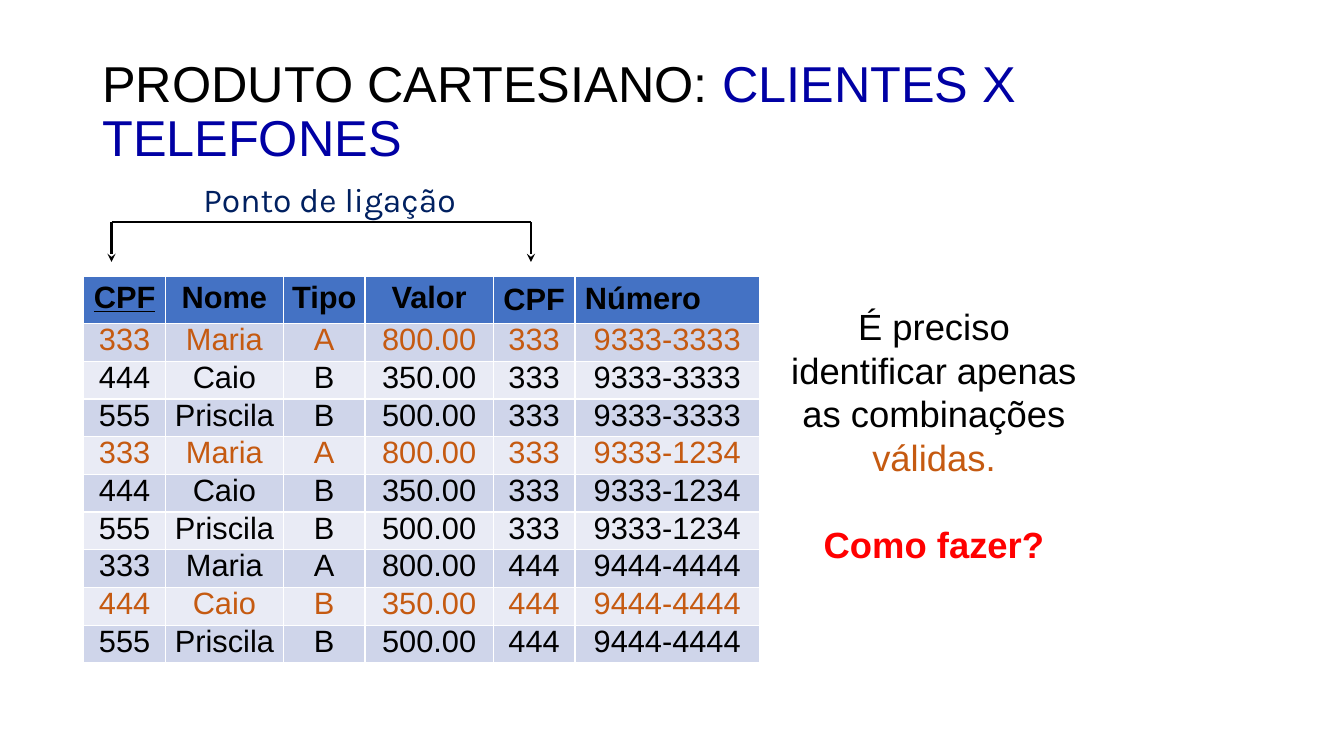
import itertools

import pptx
import pptx.dml.color
import pptx.enum.shapes
import pptx.enum.text
import pptx.oxml.ns
import pptx.util
from lxml import etree

Cm, Pt = pptx.util.Cm, pptx.util.Pt
RGB = pptx.dml.color.RGBColor.from_string
ALIGN = pptx.enum.text.PP_ALIGN
ANCHOR = pptx.enum.text.MSO_ANCHOR

# Content
TITLE = [("PRODUTO CARTESIANO: ", "text"), ("CLIENTES X TELEFONES", "title")]
LINK_LABEL = "Ponto de ligação"
NOTE = [("É preciso identificar apenas as combinações ", "text"), ("válidas.", "match")]
QUESTION = "Como fazer?"
HEADERS = ["CPF", "Nome", "Tipo", "Valor", "CPF", "Número"]
CLIENTS = [
    ("333", "Maria", "A", "800.00"),
    ("444", "Caio", "B", "350.00"),
    ("555", "Priscila", "B", "500.00"),
]
PHONES = [("333", "9333-3333"), ("333", "9333-1234"), ("444", "9444-4444")]

THEME = {
    "font": "Arial", "label_font": "Karla",
    "title_size": Pt(36), "label_size": Pt(24), "note_size": Pt(26), "table_size": Pt(22),
    "text": RGB("000000"), "title": RGB("0000A4"), "label": RGB("002060"),
    "match": RGB("C55A11"), "question": RGB("FF0000"),
    "header": RGB("4472C4"), "bands": (RGB("CFD5EA"), RGB("E9EBF5")),
}

# Layout, in centimetres
COLUMNS = [2.06, 2.97, 2.06, 3.23, 2.06, 4.65]
HEADER_HEIGHT, ROW_HEIGHT = 1.14, 0.95
TABLE_LEFT, TABLE_TOP = 2.11, 6.96
LINK_LEFT, LINK_RIGHT, LINK_TOP, LINK_BOTTOM = 2.81, 13.38, 5.6, 6.6


def add_text(shapes, left, top, width, height, anchor=ANCHOR.TOP):
    tf = shapes.add_textbox(Cm(left), Cm(top), Cm(width), Cm(height)).text_frame
    tf.word_wrap = True
    tf.vertical_anchor = anchor
    return tf


def write(p, runs, size, font=THEME["font"], align=ALIGN.CENTER):
    p.alignment = align
    p.font.name, p.font.size = font, size
    for text, color in runs:
        r = p.add_run()
        r.text = text
        r.font.name, r.font.size = font, size
        r.font.color.rgb = THEME[color]


def add_line(shapes, x1, y1, x2, y2, arrow=False):
    line = shapes.add_connector(pptx.enum.shapes.MSO_CONNECTOR.STRAIGHT,
                                Cm(x1), Cm(y1), Cm(x2), Cm(y2))
    line.line.color.rgb = THEME["text"]
    line.line.width = Pt(1.75)
    if arrow:
        tail = etree.SubElement(line.line._get_or_add_ln(), pptx.oxml.ns.qn("a:tailEnd"))
        tail.set("type", "stealth")
    etree.SubElement(line._element.spPr, pptx.oxml.ns.qn("a:effectLst"))


def fill_cell(cell, text, color, fill, bold=False):
    cell.fill.solid()
    cell.fill.fore_color.rgb = fill
    cell.vertical_anchor = ANCHOR.MIDDLE
    cell.margin_left = cell.margin_right = Cm(0.2)
    cell.margin_top = cell.margin_bottom = Cm(0.1)
    p = cell.text_frame.paragraphs[0]
    write(p, [(text, color)], THEME["table_size"])
    p.line_spacing = 0.8
    p.runs[0].font.bold = bold
    return p


def main():
    prs = pptx.Presentation()
    prs.slide_width, prs.slide_height = Cm(33.87), Cm(19.05)
    s = prs.slides.add_slide(prs.slide_layouts[6])

    # Title
    p = add_text(s.shapes, 2.33, 1.01, 29.21, 3.68, ANCHOR.MIDDLE).paragraphs[0]
    write(p, TITLE, THEME["title_size"], align=ALIGN.LEFT)
    p.line_spacing = 0.9

    # Bracket joining the two CPF columns
    link = s.shapes.add_group_shape().shapes
    add_line(link, LINK_LEFT, LINK_TOP, LINK_RIGHT, LINK_TOP)
    for x in (LINK_LEFT, LINK_RIGHT):
        add_line(link, x, LINK_TOP, x, LINK_BOTTOM, arrow=True)
    p = add_text(link, 3.77, 4.38, 9.07, 1.28).paragraphs[0]
    write(p, [(LINK_LABEL, "label")], THEME["label_size"], THEME["label_font"])

    # Note and question
    tf = add_text(s.shapes, 19.69, 7.54, 7.7, 6.93)
    write(tf.paragraphs[0], NOTE, THEME["note_size"])
    p = tf.add_paragraph()
    write(p, [(QUESTION, "question")], THEME["note_size"])
    p.runs[0].font.bold = True
    p.space_before = Pt(31)

    # Table: every phone paired with every client
    pairs = list(itertools.product(PHONES, CLIENTS))
    table = s.shapes.add_table(
        len(pairs) + 1, len(HEADERS), Cm(TABLE_LEFT), Cm(TABLE_TOP),
        Cm(sum(COLUMNS)), Cm(HEADER_HEIGHT + ROW_HEIGHT * len(pairs))).table
    for column, width in zip(table.columns, COLUMNS):
        column.width = Cm(width)
    for i, row in enumerate(table.rows):
        row.height = Cm(ROW_HEIGHT if i else HEADER_HEIGHT)

    heads = [fill_cell(table.cell(0, c), text, "text", THEME["header"], bold=True)
             for c, text in enumerate(HEADERS)]
    heads[0].runs[0].font.underline = True
    heads[4].line_spacing = heads[5].line_spacing = 1.0
    heads[4].space_before = Pt(4.4)
    heads[5].alignment = ALIGN.LEFT
    number = table.cell(0, 5)
    number.vertical_anchor = ANCHOR.TOP
    number.margin_left = number.margin_right = Cm(0.25)
    number.margin_top = number.margin_bottom = Cm(0.13)

    for i, (phone, client) in enumerate(pairs):
        color = "match" if phone[0] == client[0] else "text"
        for c, text in enumerate(client + phone):
            fill_cell(table.cell(i + 1, c), text, color, THEME["bands"][i % 2])

    prs.save("out.pptx")


if __name__ == "__main__":
    main()
